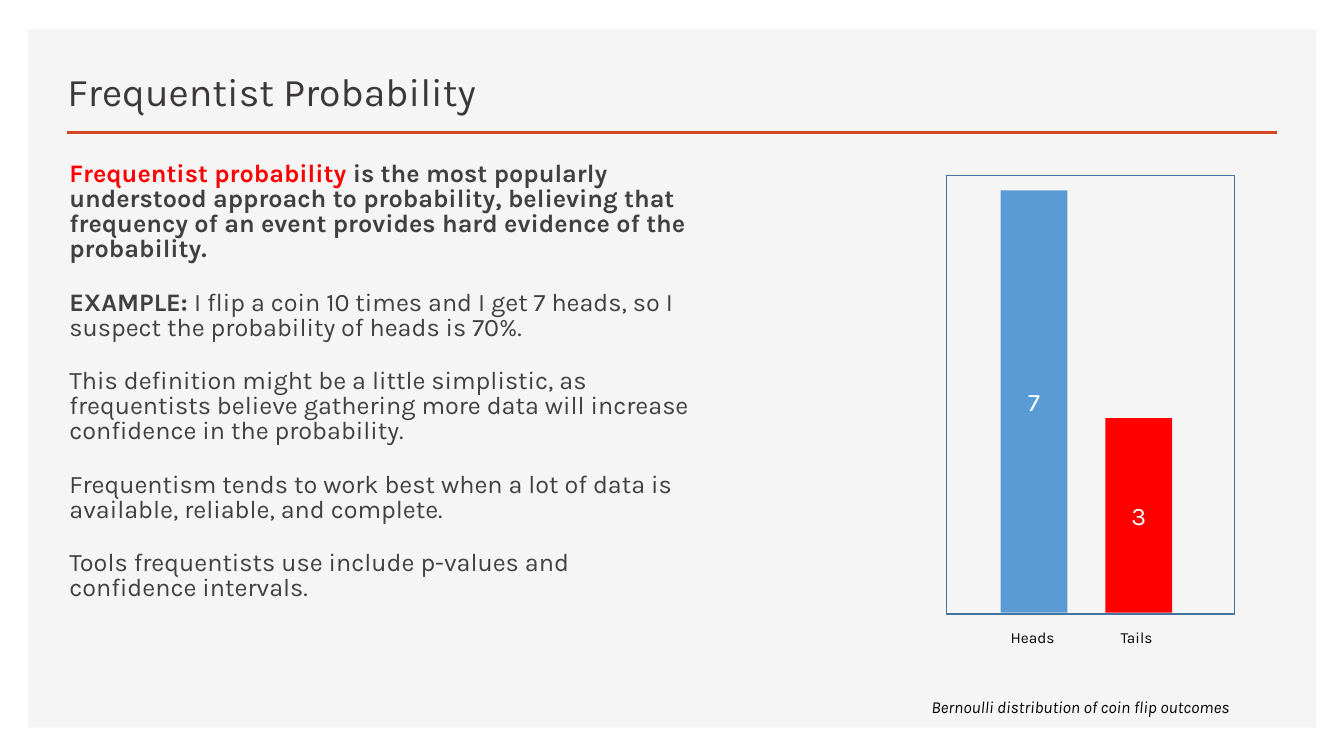
from dataclasses import dataclass

from pptx import Presentation
from pptx.dml.color import RGBColor
from pptx.enum.shapes import MSO_CONNECTOR as Connector, MSO_SHAPE as Preset
from pptx.enum.text import MSO_ANCHOR as Anchor, PP_ALIGN as Align
from pptx.oxml.ns import qn
from pptx.shapes.autoshape import Shape
from pptx.text.text import _Paragraph as Paragraph
from pptx.util import Cm, Pt


@dataclass(frozen=True)
class Theme:
    font: str = "Karla"
    panel: str = "F5F5F5"
    rule: str = "D24726"
    title: str = "3B3838"
    body: str = "404040"
    accent: str = "FF0000"
    heads: str = "5B9BD5"
    frame: str = "43739E"
    black: str = "000000"
    white: str = "FFFFFF"
    title_size: int = 28
    body_size: int = 18
    caption_size: int = 12
    label_size: int = 11


@dataclass(frozen=True)
class Box:
    left: float
    top: float
    width: float
    height: float


@dataclass(frozen=True)
class Span:
    text: str
    color: str
    size: int
    bold: bool = False
    italic: bool = False


@dataclass(frozen=True)
class Outcome:
    name: str
    count: int
    color: str
    left: float
    height: float
    label_left: float


THEME = Theme()
BAR_WIDTH, BAR_BASE = 1.68, 15.44
LABEL_TOP = 15.7


def body_span(text: str, color: str = THEME.body, bold: bool = False) -> Span:
    return Span(text, color, THEME.body_size, bold)


OUTCOMES = [
    Outcome("Heads", 7, THEME.heads, 25.22, 10.64, 25.22),
    Outcome("Tails", 3, THEME.accent, 27.86, 4.9, 27.99),
]

EXPLANATION = [
    [body_span("Frequentist probability ", THEME.accent, bold=True),
     body_span("is the most popularly understood approach to probability, "
               "believing that frequency of an event provides hard evidence "
               "of the probability.", bold=True)],
    [body_span("EXAMPLE: ", bold=True),
     body_span("I flip a coin 10 times and I get 7 heads, so I suspect the "
               "probability of heads is 70%.")],
    [body_span("This definition might be a little simplistic, as frequentists "
               "believe gathering more data will increase confidence in the "
               "probability.")],
    [body_span("Frequentism tends to work best when a lot of data is "
               "available, reliable, and complete.")],
    [body_span("Tools frequentists use include p-values and confidence "
               "intervals.")],
]


def rgb(color: str) -> RGBColor:
    return RGBColor.from_string(color)


def write(paragraph: Paragraph, spans: list[Span]) -> None:
    for span in spans:
        run = paragraph.add_run()
        run.text = span.text
        run.font.name = THEME.font
        run.font.size = Pt(span.size)
        run.font.bold = span.bold
        run.font.italic = span.italic
        run.font.color.rgb = rgb(span.color)


def add_text(shapes, box: Box, paragraphs: list[list[Span]],
             anchor: Anchor = Anchor.TOP) -> Shape:
    holder = shapes.add_textbox(
        Cm(box.left), Cm(box.top), Cm(box.width), Cm(box.height))
    frame = holder.text_frame
    frame.word_wrap = True
    frame.vertical_anchor = anchor
    for index, spans in enumerate(paragraphs):
        write(frame.add_paragraph() if index else frame.paragraphs[0], spans)
    return holder


def add_rectangle(shapes, box: Box, fill: str | None = None,
                  line: str | None = None) -> Shape:
    rectangle = shapes.add_shape(
        Preset.RECTANGLE,
        Cm(box.left), Cm(box.top), Cm(box.width), Cm(box.height))
    rectangle.shadow.inherit = False
    if fill:
        rectangle.fill.solid()
        rectangle.fill.fore_color.rgb = rgb(fill)
    else:
        rectangle.fill.background()
    if line:
        rectangle.line.color.rgb = rgb(line)
        rectangle.line.width = Pt(1)
    else:
        rectangle.line.fill.background()
    return rectangle


def add_rule(shapes, left: float, right: float, top: float) -> None:
    rule = shapes.add_connector(
        Connector.STRAIGHT, Cm(left), Cm(top), Cm(right), Cm(top))
    rule.line.color.rgb = rgb(THEME.rule)
    rule.line.width = Pt(2)
    properties = rule._element.spPr
    properties.append(properties.makeelement(qn("a:effectLst"), {}))


def add_outcome(shapes, outcome: Outcome) -> None:
    bar = add_rectangle(
        shapes,
        Box(outcome.left, BAR_BASE - outcome.height, BAR_WIDTH, outcome.height),
        fill=outcome.color)
    bar.text_frame.vertical_anchor = Anchor.MIDDLE
    count = bar.text_frame.paragraphs[0]
    count.alignment = Align.CENTER
    write(count, [Span(str(outcome.count), THEME.white, THEME.body_size)])
    add_text(shapes, Box(outcome.label_left, LABEL_TOP, 4.2, 0.74),
             [[Span(outcome.name, THEME.black, THEME.label_size)]])


def main() -> None:
    deck = Presentation()
    deck.slide_width, deck.slide_height = Cm(33.87), Cm(19.05)
    shapes = deck.slides.add_slide(deck.slide_layouts[6]).shapes

    # Background panel and heading
    add_rectangle(shapes, Box(0.71, 0.74, 32.46, 17.6), fill=THEME.panel)
    add_rule(shapes, 1.68, 32.18, 3.33)
    add_text(shapes, Box(1.45, 1.24, 16.99, 1.78),
             [[Span("Frequentist Probability", THEME.title, THEME.title_size)]],
             Anchor.BOTTOM)

    # Explanation
    explanation = add_text(shapes, Box(1.5, 3.96, 16.15, 13.84), EXPLANATION)
    for index, paragraph in enumerate(explanation.text_frame.paragraphs):
        paragraph.line_spacing = Pt(18)
        paragraph.space_before = Pt(10 if index else 0)
        paragraph.space_after = Pt(10)

    # Bars of coin flip outcomes, with frame and caption
    for outcome in OUTCOMES:
        add_outcome(shapes, outcome)
    add_rectangle(shapes, Box(23.85, 4.42, 7.26, 11.05), line=THEME.frame)
    add_text(shapes, Box(23.22, 17.42, 8.51, 0.76),
             [[Span("Bernoulli distribution of coin flip outcomes",
                    THEME.black, THEME.caption_size, italic=True)]])

    deck.save("out.pptx")


if __name__ == "__main__":
    main()
